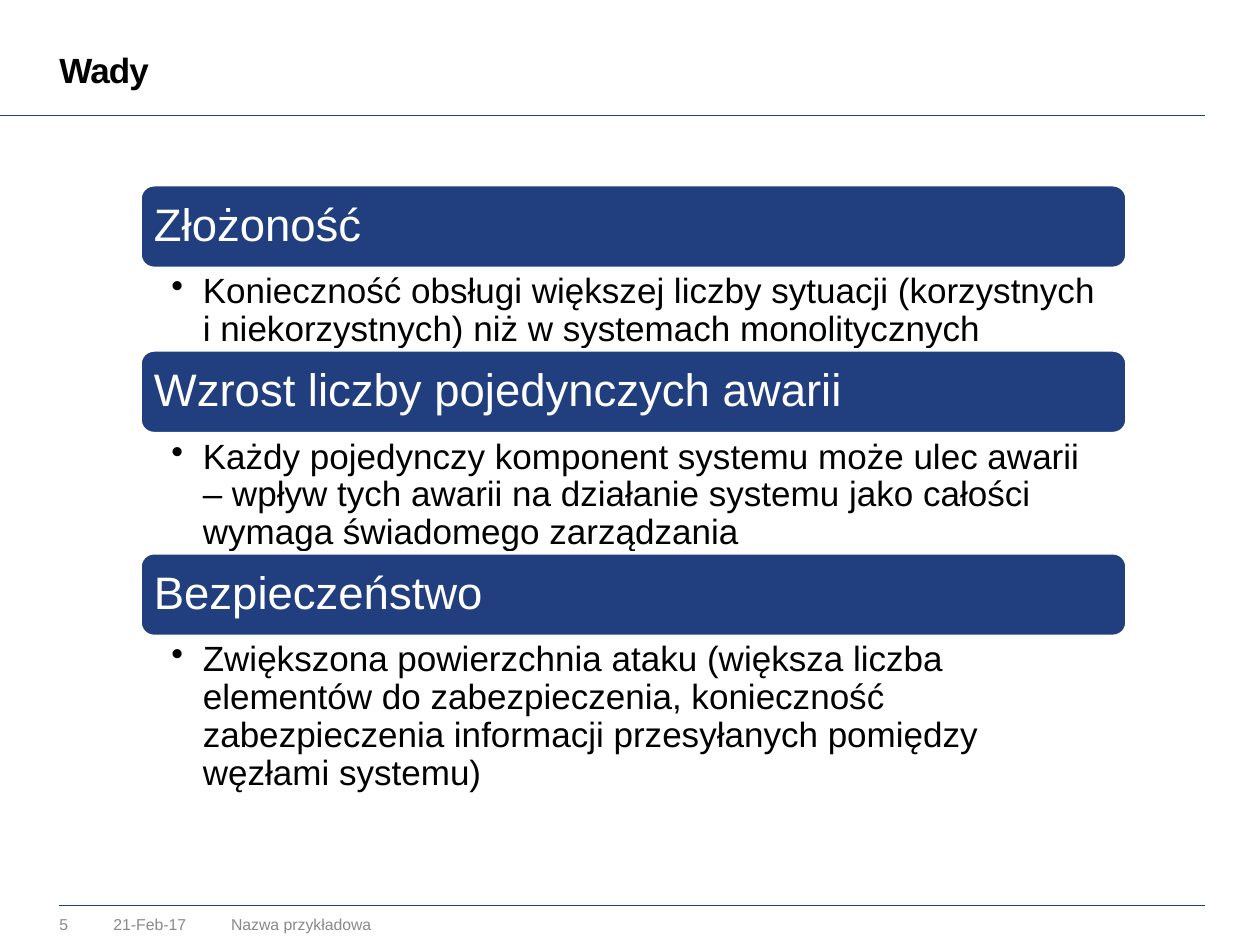
import pptx
import pptx.dml.color
import pptx.enum.shapes
import pptx.enum.text
import pptx.util
from lxml import etree

Pt = pptx.util.Pt
ANCHOR = pptx.enum.text.MSO_ANCHOR
SHAPE = pptx.enum.shapes.MSO_SHAPE
COLOURS = {"navy": "213E7F", "white": "FFFFFF", "black": "000000", "grey": "898989"}


def colour(name):
    return pptx.dml.color.RGBColor.from_string(COLOURS[name])


def write(shape, text, size, ink, insets=(0, 0, 0, 0), anchor=ANCHOR.TOP):
    """Set one left-aligned paragraph in a shape and return the paragraph."""
    frame = shape.text_frame
    frame.text = text
    frame.word_wrap = True
    frame.vertical_anchor = anchor
    (frame.margin_left, frame.margin_top,
     frame.margin_right, frame.margin_bottom) = [Pt(inset) for inset in insets]
    paragraph = frame.paragraphs[0]
    paragraph.alignment = pptx.enum.text.PP_ALIGN.LEFT
    font = paragraph.runs[0].font
    font.name = "Arial"
    font.size = Pt(size)
    font.color.rgb = colour(ink)
    return paragraph


deck = pptx.Presentation()
deck.slide_width, deck.slide_height = Pt(720), Pt(540)
slide = deck.slides.add_slide(deck.slide_layouts[6])
shapes = slide.shapes

# Rules under the title and above the footer
for left, right, y in [(-1.4, 688.5, 66.1), (33.9, 688.8, 517.4)]:
    rule = shapes.add_connector(pptx.enum.shapes.MSO_CONNECTOR.STRAIGHT,
                                Pt(left), Pt(y), Pt(right), Pt(y))
    rule.line.color.rgb = colour("navy")
    rule.line.width = Pt(0.25)
    etree.SubElement(rule._element.spPr, pptx.oxml.ns.qn("a:effectLst"))

# Title
title = shapes.add_textbox(Pt(33.9), Pt(31.5), Pt(660), Pt(25))
heading = write(title, "Wady", 20, "black")
heading.line_spacing = Pt(20)
heading.runs[0].font.bold = True
heading.runs[0].font._element.set("spc", "-50")

# Footer: slide number, date, company
for left, width, text in [(33.9, 28, "5"), (64.8, 62, "21-Feb-17"),
                          (132.1, 343, "Nazwa przykładowa")]:
    footer = shapes.add_textbox(Pt(left), Pt(522.7), Pt(width), Pt(11.5))
    write(footer, text, 9, "grey")

# Drawbacks: banner with an explanation below, stacked without gaps
drawbacks = [
    ("Złożoność", 46.6,
     "Konieczność obsługi większej liczby sytuacji (korzystnych i niekorzystnych) "
     "niż w systemach monolitycznych"),
    ("Wzrost liczby pojedynczych awarii", 68.1,
     "Każdy pojedynczy komponent systemu może ulec awarii – wpływ tych awarii na "
     "działanie systemu jako całości wymaga świadomego zarządzania"),
    ("Bezpieczeństwo", 89.4,
     "Zwiększona powierzchnia ataku (większa liczba elementów do zabezpieczenia, "
     "konieczność zabezpieczenia informacji przesyłanych pomiędzy węzłami systemu)"),
]
left, width, banner_height = 80, 564, 47.8
top = 105.6
for name, detail_height, explanation in drawbacks:
    banner = shapes.add_shape(SHAPE.ROUNDED_RECTANGLE,
                              Pt(left), Pt(top), Pt(width), Pt(banner_height))
    banner.shadow.inherit = False
    banner.fill.solid()
    banner.fill.fore_color.rgb = colour("navy")
    banner.line.color.rgb = colour("white")
    banner.line.width = Pt(2)
    label = write(banner, name, 26, "white", (5.6,) * 4, ANCHOR.MIDDLE)
    label.line_spacing = 0.9
    top += banner_height

    detail = shapes.add_textbox(Pt(left), Pt(top), Pt(width), Pt(detail_height))
    bullet = write(detail, explanation, 20, "black", (17.9, 3, 14.2, 3))
    bullet.line_spacing = 0.9
    properties = bullet._p.get_or_add_pPr()
    properties.set("marL", str(Pt(18)))
    properties.set("indent", str(Pt(-18)))
    etree.SubElement(properties, pptx.oxml.ns.qn("a:buChar"), char="•")
    top += detail_height

deck.save("out.pptx")
